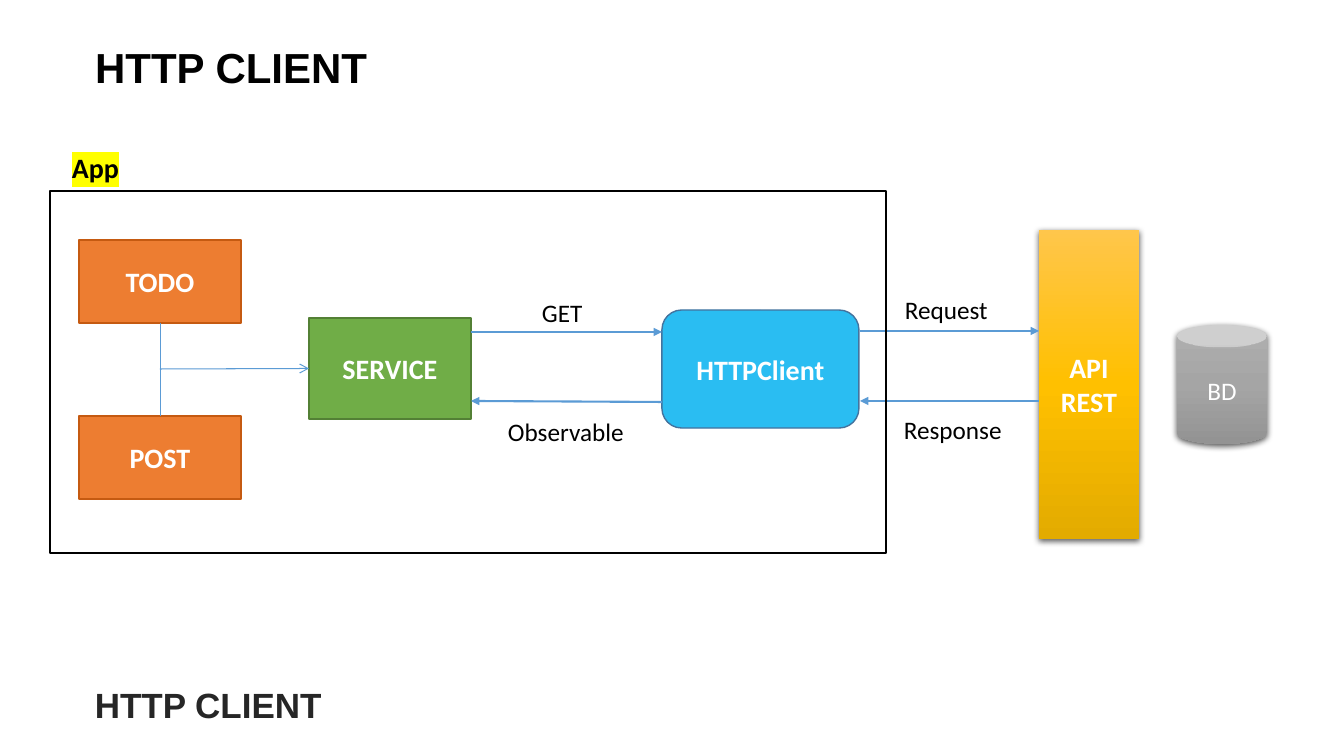
"""Build the HTTP CLIENT architecture slide."""
from copy import deepcopy

from lxml.etree import SubElement
from pptx import Presentation
from pptx.dml.color import RGBColor
from pptx.enum.shapes import MSO_CONNECTOR as CONNECTOR, MSO_SHAPE as SHAPE
from pptx.enum.text import MSO_ANCHOR as ANCHOR, MSO_AUTO_SIZE as AUTO_SIZE, PP_ALIGN as ALIGN
from pptx.oxml.ns import qn
from pptx.util import Pt

PX = 914400 / 100.8
TITLE = "HTTP CLIENT"
BLUE, WHITE, BLACK = "5B9BD5", "FFFFFF", "000000"
GOLD = ("FFC64B", "FFC000", "E3AB00")
GRAY = ("AFAFAF", "A5A5A5", "939393")

FLAT_BOXES = [
    ("TODO", SHAPE.RECTANGLE, (79, 240, 162, 83), "ED7D31", "C55A11"),
    ("POST", SHAPE.RECTANGLE, (79, 416, 162, 83), "ED7D31", "C55A11"),
    ("SERVICE", SHAPE.RECTANGLE, (309, 318, 162, 101), "70AD47", "538035"),
    ("HTTPClient", SHAPE.ROUNDED_RECTANGLE, (662, 310, 197, 118), "2ABDF2", "43739E"),
]
GRADIENT_BOXES = [
    ("API\nREST", SHAPE.RECTANGLE, (1039, 230, 100, 309), GOLD, 20, True),
    ("BD", SHAPE.CAN, (1177, 325, 90, 119), GRAY, 18, False),
]
MESSAGE_ARROWS = [
    ((860, 331), (1039, 331)),
    ((1039, 401), (860, 401)),
    ((471, 332), (662, 332)),
    ((662, 402), (471, 401)),
]
LABELS = [
    ("GET", (532, 292, 81, 40)),
    ("Observable", (498, 411, 138, 40)),
    ("Request", (895, 289, 107, 40)),
    ("Response", (894, 409, 138, 40)),
]
APP_FRAME = (50, 191, 836, 362)


def emu(lengths):
    """Turn px lengths into EMU."""
    return [round(length * PX) for length in lengths]


def color(value):
    """Return the colour of a hex string."""
    return RGBColor.from_string(value)


def write(shape, text, size, ink, bold=False, name="Calibri", align=ALIGN.LEFT):
    """Fill a shape with uniformly formatted paragraphs."""
    shape.text_frame.text = text
    for paragraph in shape.text_frame.paragraphs:
        paragraph.alignment = align
        font = paragraph.font
        font.name, font.size, font.bold = name, Pt(size), bold
        font.color.rgb = color(ink)


def add_text(slide, text, box, size, ink=BLACK, bold=False, name="Calibri"):
    """Add a wrapping text box."""
    shape = slide.shapes.add_textbox(*emu(box))
    shape.text_frame.word_wrap = True
    shape.text_frame.auto_size = AUTO_SIZE.SHAPE_TO_FIT_TEXT
    write(shape, text, size, ink, bold, name)
    return shape


def add_box(slide, kind, box, text="", size=20, bold=True):
    """Add a shape with centred white text."""
    shape = slide.shapes.add_shape(kind, *emu(box))
    shape.shadow.inherit = False
    if text:
        write(shape, text, size, WHITE, bold, align=ALIGN.CENTER)
        shape.text_frame.vertical_anchor = ANCHOR.MIDDLE
    return shape


def outline(shape, ink):
    """Give a shape a one-point line."""
    shape.line.color.rgb = color(ink)
    shape.line.width = Pt(1)


def shade(shape, inks):
    """Give a shape a vertical three-stop gradient and a soft shadow."""
    shape.line.fill.background()
    shape.fill.gradient()
    shape.fill.gradient_angle = 270
    properties = shape.element.spPr
    stops = properties.find(".//" + qn("a:gsLst"))
    stops.append(deepcopy(stops[0]))
    for stop, position, ink in zip(shape.fill.gradient_stops, (0, 0.5, 1), inks):
        stop.position = position
        stop.color.rgb = color(ink)
    shadow = SubElement(properties.find(qn("a:effectLst")), qn("a:outerShdw"),
                        blurRad=str(Pt(4.5)), dist=str(Pt(1.5)), dir="5400000",
                        algn="ctr", rotWithShape="0")
    ink = SubElement(shadow, qn("a:srgbClr"), val=BLACK)
    SubElement(ink, qn("a:alpha"), val="63000")


def add_line(slide, start, end, width, head=None):
    """Add a straight connector, with an arrowhead at its end if named."""
    connector = slide.shapes.add_connector(CONNECTOR.STRAIGHT, *emu(start + end))
    connector.line.color.rgb = color(BLUE)
    connector.line.width = Pt(width)
    if head:
        SubElement(connector.line._get_or_add_ln(), qn("a:tailEnd"), type=head)
    SubElement(connector.element.spPr, qn("a:effectLst"))
    return connector


def main():
    """Compose and save the slide."""
    presentation = Presentation()
    presentation.slide_width, presentation.slide_height = emu((1344, 756))
    slide = presentation.slides.add_slide(presentation.slide_layouts[5])

    add_text(slide, TITLE, (85, 679, 1139, 52), 25, "262626", True, "Arial")
    title = slide.shapes.title
    title.left, title.top, title.width, title.height = emu((85, 36, 295, 61))
    write(title, TITLE, 30, BLACK, True, "Arial")
    title.text_frame.word_wrap = False
    title.text_frame.auto_size = AUTO_SIZE.SHAPE_TO_FIT_TEXT
    title.text_frame.vertical_anchor = ANCHOR.TOP

    boxes = {}
    for text, kind, box, fill, ink in FLAT_BOXES:
        shape = boxes[text] = add_box(slide, kind, box, text)
        shape.fill.solid()
        shape.fill.fore_color.rgb = color(fill)
        outline(shape, ink)
    for text, kind, box, inks, size, bold in GRADIENT_BOXES:
        shade(add_box(slide, kind, box, text, size, bold), inks)

    trunk = add_line(slide, (160, 323), (160, 416), 0.5)
    trunk.begin_connect(boxes["TODO"], 2)
    trunk.end_connect(boxes["POST"], 0)
    branch = add_line(slide, (160, 369), (309, 369), 0.75, "arrow")
    branch.end_connect(boxes["SERVICE"], 1)
    for start, end in MESSAGE_ARROWS:
        add_line(slide, start, end, 1.5, "triangle")
    for text, box in LABELS:
        add_text(slide, text, box, 18)

    frame = add_box(slide, SHAPE.FLOWCHART_PROCESS, APP_FRAME)
    frame.fill.background()
    outline(frame, BLACK)
    app = add_text(slide, "App", (62, 146, 80, 44), 20, bold=True)
    run = app.text_frame.paragraphs[0].runs[0]
    highlight = SubElement(run.font._element, qn("a:highlight"))
    SubElement(highlight, qn("a:srgbClr"), val="FFFF00")

    presentation.save("out.pptx")


if __name__ == "__main__":
    main()
